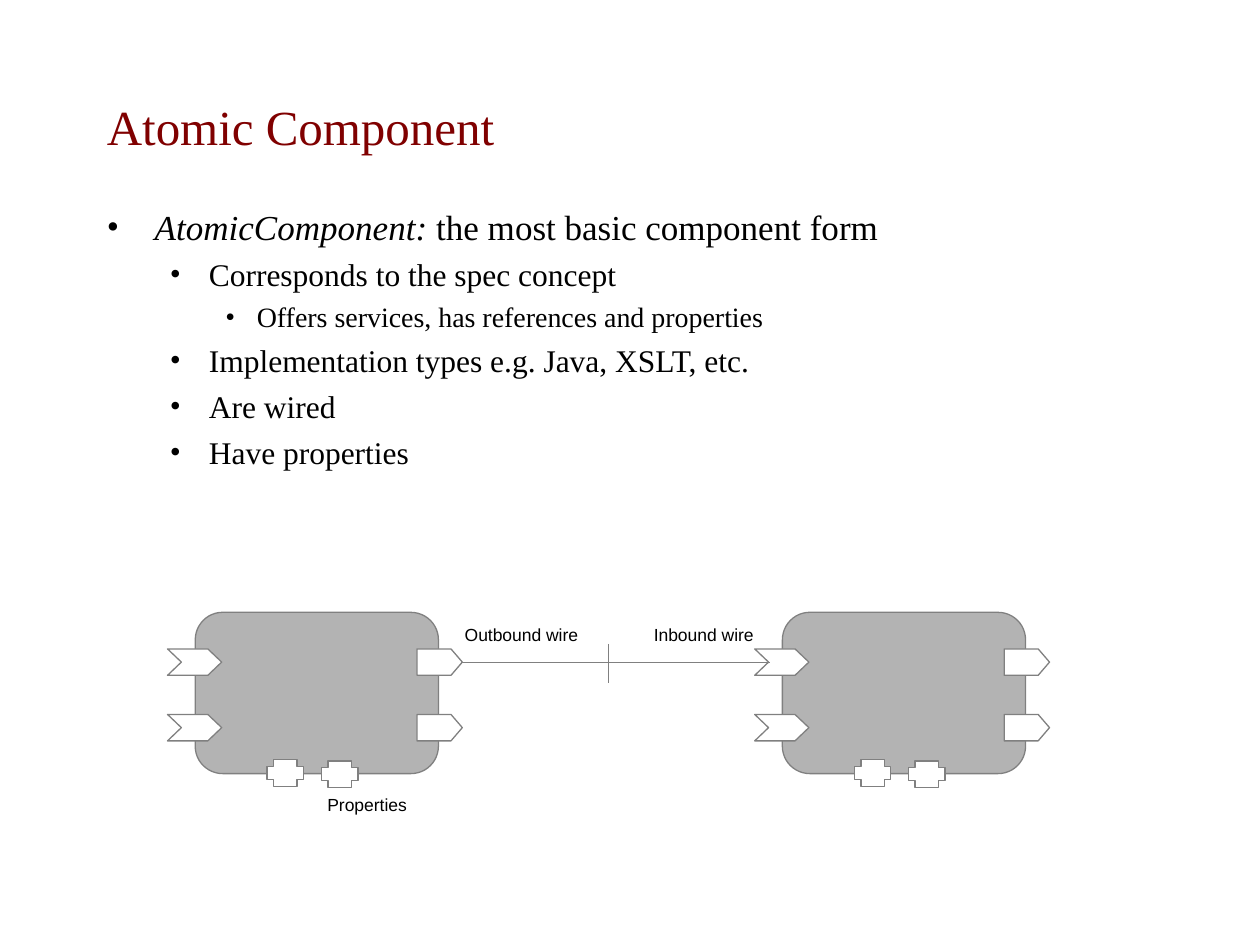
from lxml.etree import SubElement
from pptx import Presentation
from pptx.dml.color import RGBColor
from pptx.enum.shapes import MSO_CONNECTOR, MSO_SHAPE
from pptx.enum.text import MSO_ANCHOR
from pptx.oxml.ns import qn
from pptx.util import Inches, Pt

COLOURS = {
    "title": "800000",
    "text": "000000",
    "component": "B3B3B3",
    "port": "FFFFFF",
    "line": "808080",
}

# Bullet level: text size, left margin, hanging indent, space before
LEVELS = [(20, 0.38, 0.38, 5), (18, 0.81, 0.31, 4.5), (16, 1.19, 0.25, 4)]

# Each bullet: level and its (text, italic) spans
BULLETS = [
    (0, [("AtomicComponent:", True), (" the most basic component form", False)]),
    (1, [("Corresponds to the spec concept", False)]),
    (2, [("Offers services, has references and properties", False)]),
    (1, [("Implementation types e.g. Java, XSLT, etc.", False)]),
    (1, [("Are wired", False)]),
    (1, [("Have properties", False)]),
]

COMPONENT_LEFTS = (1.55, 6.21)
PORT_TOPS = (5.15, 5.67)
PORT_HEIGHT = 0.21
WIRE_Y = 5.26


class Deck:
    """Holds the style and the current slide."""

    def __init__(self):
        self.presentation = Presentation()
        self.presentation.slide_width = Inches(10)
        self.presentation.slide_height = Inches(7.5)
        self.page = self.presentation.slides.add_slide(self.presentation.slide_layouts[6])

    def colour(self, name):
        return RGBColor.from_string(COLOURS[name])

    def style_span(self, span, size, font, colour, italic=False):
        span.font.size = Pt(size)
        span.font.name = font
        span.font.italic = italic
        span.font.color.rgb = self.colour(colour)

    def text_box(self, left, top, width, height, wrap=True):
        box = self.page.shapes.add_textbox(
            Inches(left), Inches(top), Inches(width), Inches(height))
        box.text_frame.word_wrap = wrap
        return box

    def label(self, text, left, top, width, height, size=10, font="Arial",
              colour="text", wrap=False):
        box = self.text_box(left, top, width, height, wrap)
        box.text_frame.text = text
        self.style_span(box.text_frame.paragraphs[0].runs[0], size, font, colour)
        return box

    def title(self, text):
        box = self.label(text, 0.75, 0.5, 8.5, 1, 28, "Times New Roman", "title", True)
        box.text_frame.vertical_anchor = MSO_ANCHOR.MIDDLE

    def bullets(self, items):
        frame = self.text_box(0.75, 1.58, 8.5, 4.83).text_frame
        for index, (level, spans) in enumerate(items):
            size, margin, hanging, space = LEVELS[level]
            paragraph = frame.add_paragraph() if index else frame.paragraphs[0]
            paragraph.level = level
            paragraph.space_before = Pt(space)
            properties = paragraph._p.get_or_add_pPr()
            properties.set("marL", str(Inches(margin)))
            properties.set("indent", str(-Inches(hanging)))
            SubElement(properties, qn("a:buFont")).set("typeface", "Times New Roman")
            SubElement(properties, qn("a:buChar")).set("char", "•")
            for text, italic in spans:
                span = paragraph.add_run()
                span.text = text
                self.style_span(span, size, "Times New Roman", "text", italic)

    def paint(self, shape, fill):
        shape.shadow.inherit = False
        shape.fill.solid()
        shape.fill.fore_color.rgb = self.colour(fill)
        shape.line.color.rgb = self.colour("line")
        shape.line.width = Pt(0.75)

    def preset(self, kind, left, top, width, height, fill, adjustment):
        shape = self.page.shapes.add_shape(
            kind, Inches(left), Inches(top), Inches(width), Inches(height))
        shape.adjustments[0] = adjustment
        self.paint(shape, fill)

    def port(self, left, top, width, point, notch=0):
        """Draw a tag pointing right, optionally notched on its left side."""
        middle, bottom = top + PORT_HEIGHT / 2, top + PORT_HEIGHT
        shoulder = left + width - point
        outline = [(shoulder, top), (left + width, middle),
                   (shoulder, bottom), (left, bottom)]
        if notch:
            outline.append((left + notch, middle))
        builder = self.page.shapes.build_freeform(Inches(left), Inches(top))
        builder.add_line_segments([(Inches(x), Inches(y)) for x, y in outline])
        self.paint(builder.convert_to_shape(), "port")

    def component(self, left):
        self.preset(MSO_SHAPE.ROUNDED_RECTANGLE, left, 4.86, 1.93, 1.28, "component", 0.17)
        for top in PORT_TOPS:
            self.port(left - 0.22, top, 0.43, 0.11, notch=0.11)
            self.port(left + 1.76, top, 0.36, 0.09)
        for offset, top in ((0.57, 6.03), (1, 6.04)):
            self.preset(MSO_SHAPE.CROSS, left + offset, top, 0.29, 0.21, "port", 0.25)

    def line(self, x1, y1, x2, y2):
        connector = self.page.shapes.add_connector(
            MSO_CONNECTOR.STRAIGHT, Inches(x1), Inches(y1), Inches(x2), Inches(y2))
        connector.line.color.rgb = self.colour("line")
        connector.line.width = Pt(0.75)
        SubElement(connector._element.spPr, qn("a:effectLst"))


def main():
    deck = Deck()
    deck.title("Atomic Component")
    deck.bullets(BULLETS)
    for left in COMPONENT_LEFTS:
        deck.component(left)
    deck.line(3.66, WIRE_Y, 6.11, WIRE_Y)
    deck.label("Outbound wire", 3.59, 4.9, 1.1, 0.27)
    deck.label("Inbound wire", 5.09, 4.9, 0.99, 0.27)
    deck.line(4.83, 5.11, 4.83, 5.42)
    deck.label("Properties", 2.5, 6.25, 0.83, 0.27)
    deck.presentation.save("out.pptx")


if __name__ == "__main__":
    main()
